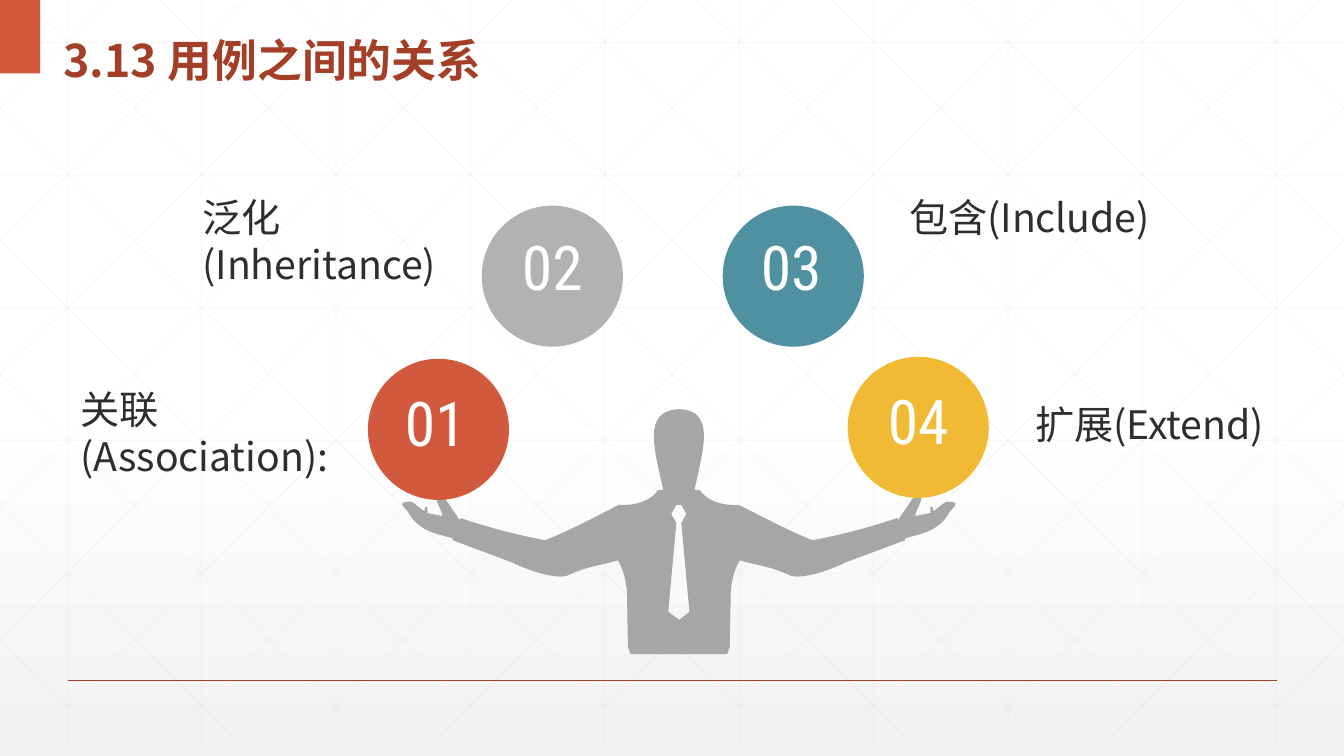
import pptx
import pptx.dml.color
import pptx.enum.shapes
import pptx.enum.text
import pptx.oxml
import pptx.oxml.ns
import pptx.util
from lxml import etree

PX = 9144  # EMU per px, 100 px to the inch
WIDTH, HEIGHT = 4000 / 3, 750
GRID_BOTTOM = 737
MIRROR = 1347  # the man is symmetric: x on the left is MIRROR - x on the right

CJK = "Noto Sans CJK SC"
DIGITS = "Roboto Condensed"
RED, DARK_RED, GREY, TEAL, YELLOW = "D15A3E", "A43F27", "B2B2B2", "4F91A1", "F0BA34"
INK, WHITE, BODY_GREY, GRID_GREY = "2D2E2D", "FFFFFF", "A6A6A6", "D9D9D9"

# Two numbers are a line end; six are a Bezier curve's controls and end.
LEFT_BODY = [
    (674, 649), (628, 649), (624, 651, 625, 644, 623, 642), (622, 587),
    (621, 575, 618, 564, 613, 556), (596, 561, 582, 562, 563, 571),
    (553, 575, 526, 567, 508, 558), (449, 536), (449, 534),
    (435, 530, 417, 528, 406, 510), (405, 506, 393, 499, 403, 498),
    (409, 495, 415, 504, 421, 507), (422, 503), (424, 503), (424, 509),
    (439, 512), (439, 505, 426, 492, 439, 491), (456, 516), (457, 514),
    (480, 522, 513, 531, 541, 536), (566, 526, 590, 513, 614, 501),
    (630, 502, 646, 497, 653, 486), (658, 486),
    (650, 448, 636, 407, 674, 406),
]
LEFT_TIE = [(674, 501), (671, 501), (666, 510), (671, 519), (663, 607), (674, 615)]

# number, colour, circle corner, number corner, label, label box
RELATIONS = [
    ("01", RED, (365, 356), (385, 377), "关联(Association):", (70, 377, 294, 104)),
    ("02", GREY, (478, 204), (501, 222), "泛化(Inheritance)", (191, 187, 294, 104)),
    ("03", TEAL, (717, 204), (738, 222), "包含(Include)", (892, 187, 294, 57)),
    ("04", YELLOW, (841, 354), (864, 375), "扩展(Extend)", (1017, 392, 294, 57)),
]


def px(*lengths):
    return [pptx.util.Emu(round(length * PX)) for length in lengths]


def rgb(code):
    return pptx.dml.color.RGBColor.from_string(code)


def add_child(parent, tag, **attributes):
    return etree.SubElement(parent, pptx.oxml.ns.qn(tag), **attributes)


def apply(target, **values):
    for name, value in values.items():
        setattr(target, name, value)


def paint(shape, color):
    """Give a shape a plain fill with no line and no shadow."""
    shape.shadow.inherit = False
    shape.fill.solid()
    shape.fill.fore_color.rgb = rgb(color)
    shape.line.fill.background()


def write(frame, text, font, size, color, bold=False, **paragraph_format):
    paragraph = frame.paragraphs[0]
    apply(paragraph, **paragraph_format)
    run = paragraph.add_run()
    run.text = text
    apply(run.font, name=font, size=pptx.util.Pt(size), bold=bold)
    run.font.color.rgb = rgb(color)
    add_child(run.font._element, "a:ea", typeface=font)


def add_text(shapes, box, text, *look, **paragraph_format):
    frame = shapes.add_textbox(*px(*box)).text_frame
    apply(frame, word_wrap=True,
          auto_size=pptx.enum.text.MSO_AUTO_SIZE.SHAPE_TO_FIT_TEXT)
    write(frame, text, *look, **paragraph_format)


def add_preset(shapes, kind, box, color):
    shape = shapes.add_shape(kind, *px(*box))
    paint(shape, color)
    return shape


def add_line(shapes, ends, color, width, opacity=100):
    line = shapes.add_connector(pptx.enum.shapes.MSO_CONNECTOR.STRAIGHT, *px(*ends))
    line.line.width = pptx.util.Pt(width)
    line.line.color.rgb = rgb(color)
    if opacity < 100:
        solid = line.element.xpath(".//a:ln/a:solidFill/a:srgbClr")[0]
        add_child(solid, "a:alpha", val=str(opacity * 1000))
    add_child(line.element.xpath("./p:spPr")[0], "a:effectLst")
    return line


def grid_lines():
    """Yield the ends of the upright, level and slanting grid lines."""
    step, run = WIDTH / 10, 745.5
    slope = GRID_BOTTOM / run
    for i in range(10):
        x = step * (i + 0.5)
        yield x, 0, x, GRID_BOTTOM
    for i in range(6):
        y = 42 + 131.6 * i
        yield 0, y, WIDTH, y
    for i in range(-5, 10):
        start = 25 + step * i
        left, right = max(start, 0), min(start + run, WIDTH)
        top, bottom = (left - start) * slope, (right - start) * slope
        yield left, top, right, bottom
        yield WIDTH - left, top, WIDTH - right, bottom


def add_backdrop(slide):
    """Draw the grid, the rule and the corner block, and hand them to the master."""
    grid = slide.shapes.add_group_shape()
    for ends in grid_lines():
        add_line(grid.shapes, ends, GRID_GREY, 0.5, opacity=25)
    rule = add_line(slide.shapes, (67, 675, 1267, 675), DARK_RED, 1)
    corner = add_preset(slide.shapes, pptx.enum.shapes.MSO_SHAPE.RECTANGLE,
                        (0, 0, 40, 73), RED)
    master_tree = slide.slide_layout.slide_master.shapes.element
    for number, part in enumerate((grid, rule, corner)):
        master_tree.insert(2 + number, part.element)
        part.element.xpath(".//p:cNvPr")[0].set("id", str(1000 + number))


def symmetric(left):
    """Follow the left half of an outline with its mirrored way back."""
    right = []
    for segment, before in zip(left[:0:-1], left[-2::-1]):
        points = [before[-2:]]
        if len(segment) == 6:
            points = [segment[2:4], segment[:2]] + points
        right.append(tuple(v for x, y in points for v in (MIRROR - x, y)))
    return left + right


def add_man(shapes):
    body, tie = symmetric(LEFT_BODY), symmetric(LEFT_TIE)
    outline = shapes.build_freeform(*px(*body[0]), scale=1.0)
    outline.add_line_segments([px(*part[-2:]) for part in body[1:]], close=True)
    outline.move_to(*px(*tie[0]))
    outline.add_line_segments([px(*part) for part in tie[1:]], close=True)
    man = outline.convert_to_shape()
    paint(man, BODY_GREY)
    for line, segment in zip(man.element.xpath(".//a:lnTo"), body[1:]):
        if len(segment) == 6:
            curve = etree.Element(pptx.oxml.ns.qn("a:cubicBezTo"))
            lengths = px(*segment)
            for x, y in zip(lengths[::2], lengths[1::2]):
                add_child(curve, "a:pt", x=str(x - man.left), y=str(y - man.top))
            line.getparent().replace(line, curve)


def add_relation(shapes, number, color, circle, digits, label, label_box):
    group = shapes.add_group_shape().shapes
    add_preset(group, pptx.enum.shapes.MSO_SHAPE.OVAL, (*circle, 140, 140), color)
    add_text(group, (*digits, 94, 84), number, DIGITS, 44, WHITE,
             alignment=pptx.enum.text.PP_ALIGN.CENTER)
    add_text(group, label_box, label, CJK, 28, INK)


def set_background(slide):
    fill = slide.background.fill
    fill.gradient()
    fill.gradient_angle = 270
    for stop, position, color in zip(fill.gradient_stops, (0.53, 1), (WHITE, "F2F2F2")):
        stop.position = position
        stop.color.rgb = rgb(color)


def set_title(title, text):
    left, top, width, height = px(53, 12, 569, 73)
    apply(title, left=left, top=top, width=width, height=height)
    apply(title.text_frame, word_wrap=True, margin_top=px(11)[0],
          auto_size=pptx.enum.text.MSO_AUTO_SIZE.NONE,
          vertical_anchor=pptx.enum.text.MSO_ANCHOR.MIDDLE)
    write(title.text_frame, text, CJK, 32, DARK_RED, bold=True, line_spacing=1.3,
          alignment=pptx.enum.text.PP_ALIGN.LEFT)


def main():
    deck = pptx.Presentation()
    deck.slide_width, deck.slide_height = px(WIDTH, HEIGHT)
    slide = deck.slides.add_slide(deck.slide_layouts[5])
    set_background(slide)
    add_backdrop(slide)
    set_title(slide.shapes.title, "3.13 用例之间的关系")
    add_man(slide.shapes)
    for relation in RELATIONS:
        add_relation(slide.shapes, *relation)
    deck.save("out.pptx")


if __name__ == "__main__":
    main()
